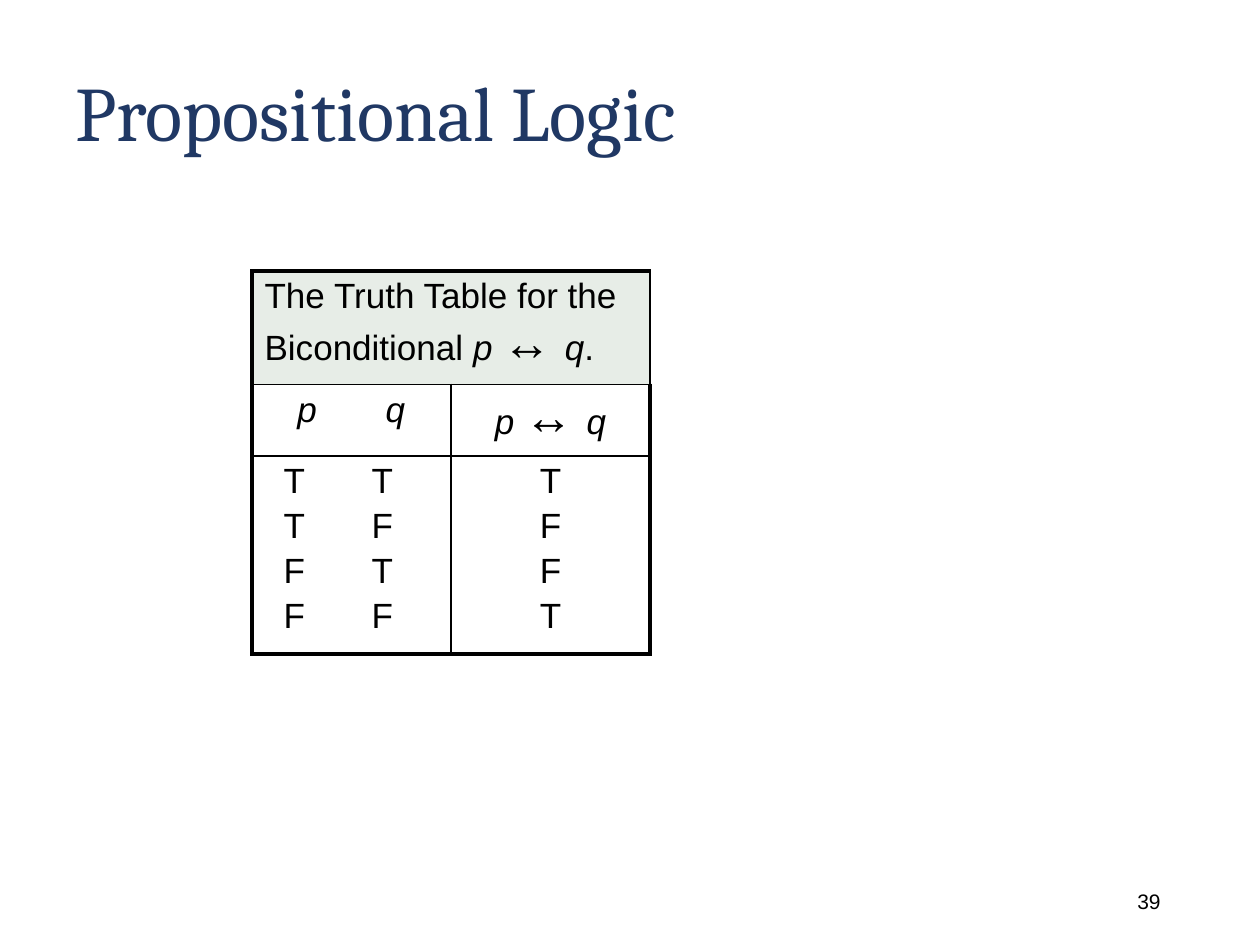
from lxml import etree
from pptx import Presentation
from pptx import util as u
from pptx.dml.color import RGBColor
from pptx.enum import text
from pptx.oxml import ns

BLACK = "000000"
MIDDLE = text.MSO_ANCHOR.MIDDLE
LEFT, CENTER, RIGHT = text.PP_ALIGN.LEFT, text.PP_ALIGN.CENTER, text.PP_ALIGN.RIGHT


def color(value):
    return RGBColor.from_string(value)


class SlideBuilder:
    body_font = "Arial"
    title_font = "Cambria"
    body_size = 20
    outer_line, inner_line = 2.25, 1

    def __init__(self, presentation):
        self.slide = presentation.slides.add_slide(presentation.slide_layouts[6])

    def format_run(self, run, size, font=None, fill=BLACK, italic=False):
        run.font.size = u.Pt(size)
        run.font.name = font or self.body_font
        run.font.color.rgb = color(fill)
        run.font.italic = italic

    def text_box(self, box, content, size, align=LEFT, font=None, fill=BLACK):
        shape = self.slide.shapes.add_textbox(*map(u.Inches, box))
        frame = shape.text_frame
        frame.word_wrap = True
        frame.vertical_anchor = MIDDLE
        frame.text = content
        paragraph = frame.paragraphs[0]
        paragraph.alignment = align
        self.format_run(paragraph.runs[0], size, font, fill)
        return paragraph

    def table(self, left, top, widths, heights):
        box = [u.Inches(n) for n in (left, top, sum(widths), sum(heights))]
        table = self.slide.shapes.add_table(len(heights), len(widths), *box).table
        for column, width in zip(table.columns, widths):
            column.width = u.Inches(width)
        for row, height in zip(table.rows, heights):
            row.height = u.Inches(height)
        last_row, last_column = len(heights) - 1, len(widths) - 1
        for r in range(len(heights)):
            for c in range(len(widths)):
                edges = {"L": c == 0, "R": c == last_column, "T": r == 0, "B": r == last_row}
                self.borders(table.cell(r, c), edges)
                table.cell(r, c).fill.background()
        return table

    def borders(self, cell, edges):
        properties = cell._tc.get_or_add_tcPr()
        for side, is_outer in edges.items():
            width = self.outer_line if is_outer else self.inner_line
            line = etree.SubElement(properties, ns.qn(f"a:ln{side}"), w=str(u.Pt(width)))
            fill = etree.SubElement(line, ns.qn("a:solidFill"))
            etree.SubElement(fill, ns.qn("a:srgbClr"), val=BLACK)

    def cell_text(self, cell, lines, align=LEFT, inset=0.1, tab=None):
        cell.margin_left = u.Inches(inset)
        frame = cell.text_frame
        for index, line in enumerate(lines):
            paragraph = frame.paragraphs[0] if index == 0 else frame.add_paragraph()
            paragraph.alignment = align
            paragraph.space_before = u.Pt(3.3)
            if tab:
                stops = etree.SubElement(paragraph._p.get_or_add_pPr(), ns.qn("a:tabLst"))
                etree.SubElement(stops, ns.qn("a:tab"), pos=str(u.Inches(tab)), algn="l")
            for content, size, italic in line:
                run = paragraph.add_run()
                run.text = content
                self.format_run(run, size, italic=italic)


def plain(content):
    return content, SlideBuilder.body_size, False


def variable(content):
    return content, SlideBuilder.body_size, True


presentation = Presentation()
presentation.slide_width, presentation.slide_height = u.Inches(10), u.Inches(7.5)
builder = SlideBuilder(presentation)

title = builder.text_box((0.5, 0.3, 9, 1.25), "Propositional Logic", 44,
                         font=builder.title_font, fill="203864")
title.line_spacing = 0.9

truth_table = builder.table(2, 2.15, [1.58, 1.58], [0.84, 0.54, 1.51])
heading = truth_table.cell(0, 0)
heading.merge(truth_table.cell(0, 1))
heading.fill.solid()
heading.fill.fore_color.rgb = color("E7EDE7")

biconditional = [variable("p "), ("↔ ", 28, False), variable("q")]
builder.cell_text(heading, [[plain("The Truth Table for the Biconditional "),
                             *biconditional, plain(".")]])
builder.cell_text(truth_table.cell(1, 0), [[variable("p\tq")]], inset=0.36, tab=0.7)
builder.cell_text(truth_table.cell(1, 1), [biconditional], CENTER)

cases = [(p, q) for p in (True, False) for q in (True, False)]
letter = {True: "T", False: "F"}
inputs = [[plain(f"{letter[p]}\t{letter[q]}")] for p, q in cases]
results = [[plain(letter[p == q])] for p, q in cases]
builder.cell_text(truth_table.cell(2, 0), inputs, inset=0.25, tab=0.7)
builder.cell_text(truth_table.cell(2, 1), results, CENTER)

builder.text_box((7.06, 6.95, 2.25, 0.4), "39", 12, RIGHT)
presentation.save("out.pptx")
